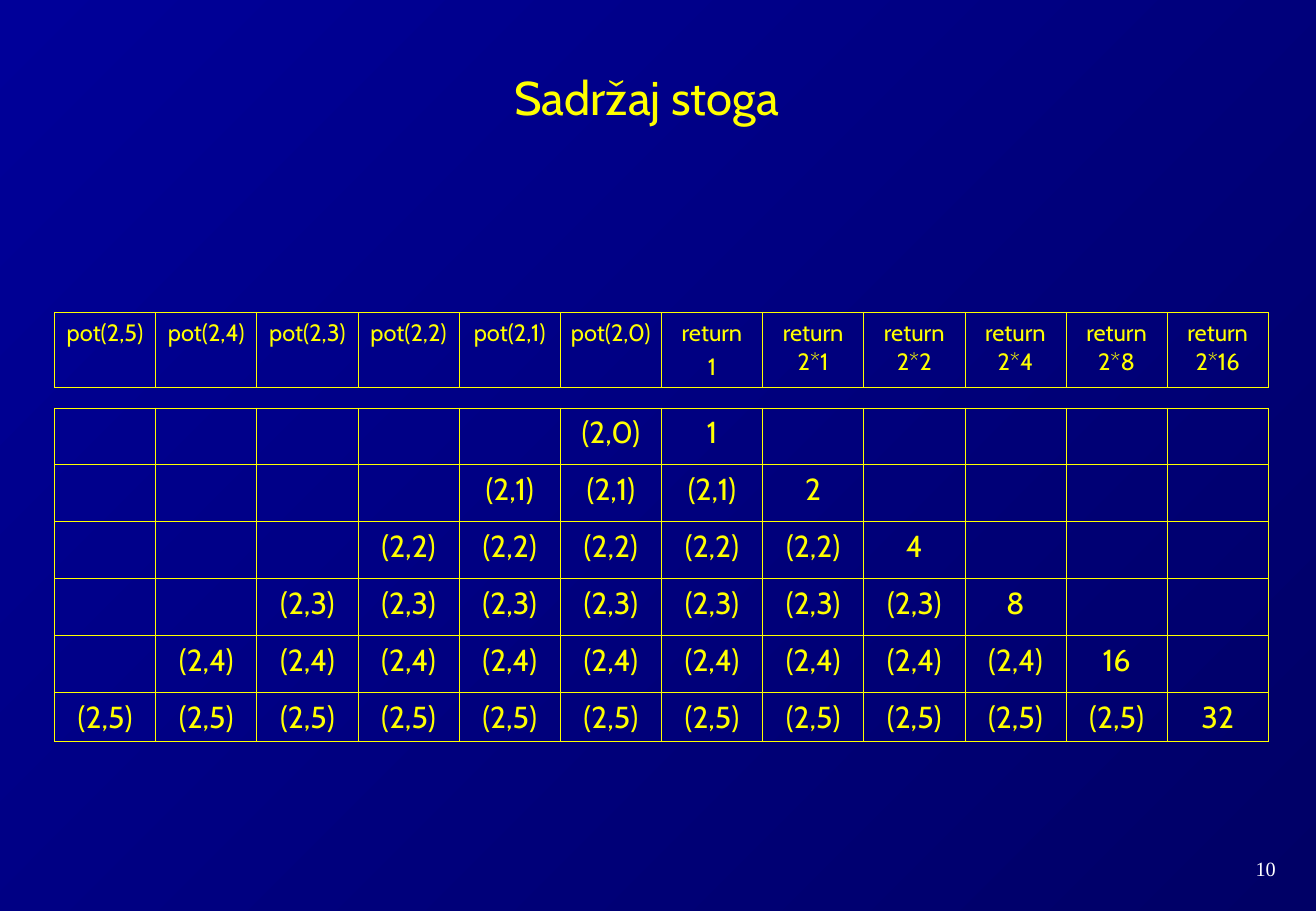
from lxml.etree import SubElement
from pptx import Presentation
from pptx.dml.color import RGBColor
from pptx.enum.text import MSO_ANCHOR, PP_ALIGN
from pptx.oxml.ns import qn
from pptx.util import Cm, Pt

HUES = {"text": "FFFF00", "page": "FFFFFF", "dark": "000066", "light": "000099"}
CALLS = 6
COLS = 2 * CALLS


class Deck:
    """Holds the style and the current slide."""

    def __init__(self, show):
        """Add a title-only slide."""
        self.font = "Cabin"
        self.slide = show.slides.add_slide(show.slide_layouts[5])

    def hue(self, name):
        """Return a named colour."""
        return RGBColor.from_string(HUES[name])

    def back(self, start, end, angle):
        """Fill the background with a gradient."""
        fill = self.slide.background.fill
        fill.gradient()
        fill.gradient_angle = angle
        for stop, name in zip(fill.gradient_stops, (start, end)):
            stop.color.rgb = self.hue(name)

    def words(self, frame, text, size, gap=0, hue="text", font=None):
        """Set centred text and format its runs."""
        frame.text = text
        for i, para in enumerate(frame.paragraphs):
            para.alignment = PP_ALIGN.CENTER
            para.space_before = Pt(gap if i else 0)
            para.font.size = Pt(size)
            for run in para.runs:
                run.font.size = Pt(size)
                run.font.name = font or self.font
                run.font.color.rgb = self.hue(hue)

    def title(self, text, box, size):
        """Place the title."""
        shape = self.slide.shapes.title
        shape.left, shape.top, shape.width, shape.height = map(Cm, box)
        shape.text_frame.vertical_anchor = MSO_ANCHOR.BOTTOM
        self.words(shape.text_frame, text, size)

    def label(self, text, box, size, hue, font):
        """Add a small text box."""
        frame = self.slide.shapes.add_textbox(*map(Cm, box)).text_frame
        frame.word_wrap = True
        frame.vertical_anchor = MSO_ANCHOR.MIDDLE
        self.words(frame, text, size, hue=hue, font=font)

    def edge(self, cell):
        """Draw thin lines on all sides of a cell."""
        props = cell._tc.get_or_add_tcPr()
        for side in ("lnL", "lnR", "lnT", "lnB"):
            line = SubElement(props, qn(f"a:{side}"), w=str(Pt(0.45)))
            fill = SubElement(line, qn("a:solidFill"))
            SubElement(fill, qn("a:srgbClr"), val=HUES["text"])

    def table(self, rows, box, highs, size, pad, gap=0):
        """Add a table with clear cells and equal columns."""
        grid = self.slide.shapes.add_table(len(rows), COLS, *map(Cm, box)).table
        grid.first_row = grid.horz_banding = False
        for col in grid.columns:
            col.width = Cm(box[2] / COLS)
        for row, high, texts in zip(grid.rows, highs, rows):
            row.height = Cm(high)
            for cell, text in zip(row.cells, texts):
                cell.margin_left = cell.margin_right = Cm(pad)
                cell.margin_top = cell.margin_bottom = Cm(0.13)
                self.edge(cell)
                cell.fill.background()
                self.words(cell.text_frame, text, size, gap)


def stack(n):
    """Return the row of the stack for exponent n."""
    row = [""] * COLS
    for col in range(CALLS - 1 - n, CALLS + n):
        row[col] = f"(2,{n})"
    row[CALLS + n] = str(2 ** n)
    return row


def main():
    """Build the slide."""
    show = Presentation()
    show.slide_width, show.slide_height = Cm(27.53), Cm(19.05)
    deck = Deck(show)
    deck.back("dark", "light", 135)
    deck.label("10", (25.45, 17.78, 2.06, 0.76), 12, "page", "Times New Roman")
    deck.title("Sadržaj stoga", (1.37, 0.64, 24.31, 2.11), 28)
    head = [f"pot(2,{n})" for n in reversed(range(CALLS))] + ["return\n1"]
    head += [f"return 2*{2 ** n}" for n in range(CALLS - 1)]
    deck.table([head], (1.14, 6.53, 25.4, 1.57), [1.57], 14, 0.1, 3.5)
    rows = [stack(n) for n in range(CALLS)]
    highs = [1.19] * (CALLS - 1) + [1.02]
    deck.table(rows, (1.14, 8.53, 25.4, sum(highs)), highs, 18, 0.25)
    show.save("out.pptx")


if __name__ == "__main__":
    main()
